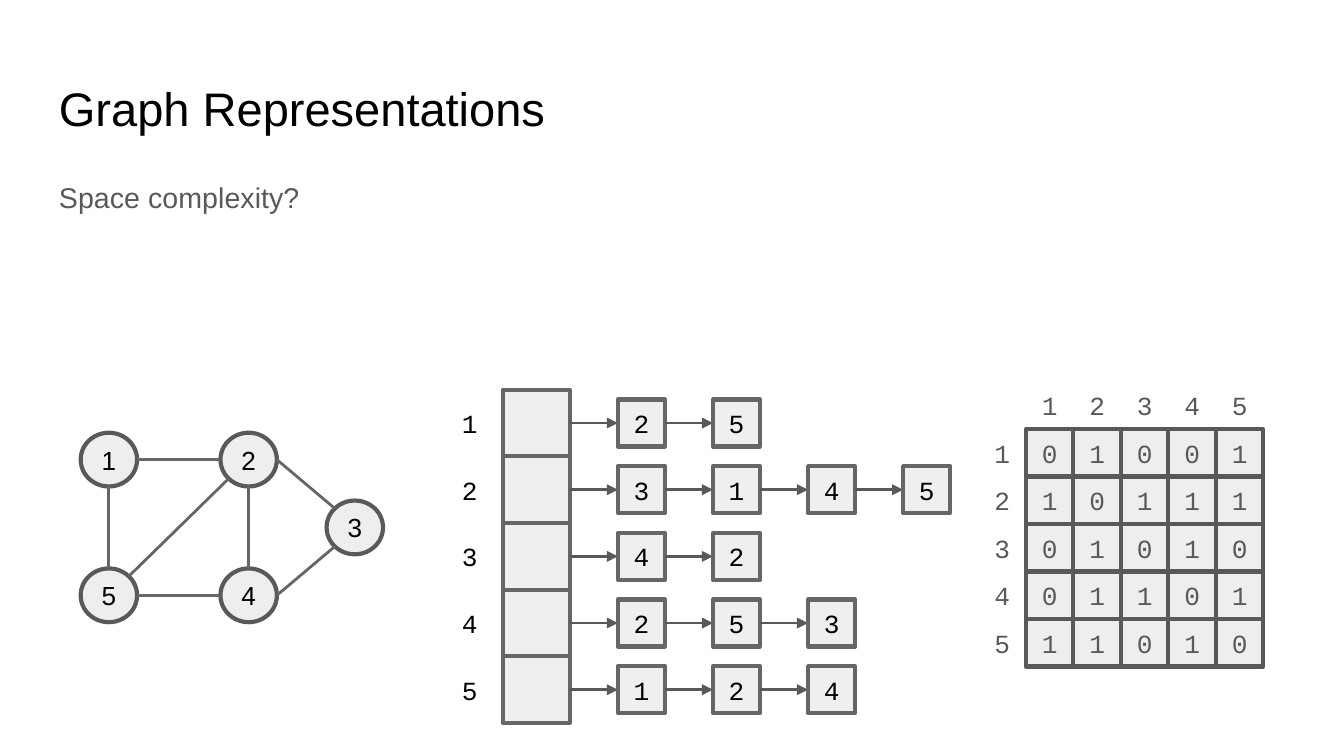
from dataclasses import dataclass
from math import cos, radians, sin

from lxml.etree import SubElement
from pptx import Presentation
from pptx.dml.color import RGBColor
from pptx.enum.shapes import MSO_CONNECTOR as CXN, MSO_SHAPE as SHAPE
from pptx.enum.text import MSO_ANCHOR as ANCHOR, PP_ALIGN as ALIGN
from pptx.oxml.ns import qn
from pptx.util import Inches, Pt


@dataclass(frozen=True)
class Theme:
    black: str = "000000"
    dark: str = "595959"
    gray: str = "666666"
    light: str = "EFEFEF"
    pale: str = "EEEEEE"
    sans: str = "Arial"
    mono: str = "Courier New"
    title: float = 25.2
    body: float = 15.3
    label: float = 14
    outline: float = 2.25
    link: float = 1.5


T = Theme()
ADJACENCY = {1: [2, 5], 2: [3, 1, 4, 5], 3: [4, 2], 4: [2, 5, 3], 5: [1, 2, 4]}
CENTERED = {"align": ALIGN.CENTER, "anchor": ANCHOR.MIDDLE, "inset": 0}
MONO = {"font": T.mono, "size": T.label, "color": T.black, **CENTERED}
MONO_DARK = {**MONO, "color": T.dark}
SANS = {**MONO, "font": T.sans}
TITLE = {"font": T.sans, "size": T.title, "color": T.black,
         "align": ALIGN.LEFT, "anchor": ANCHOR.TOP, "inset": 0.1}
BODY = {**TITLE, "size": T.body, "color": T.dark,
        "spacing": {"line_spacing": 0.95, "space_after": Pt(12)}}


def set_attrs(obj, values):
    for name, value in values.items():
        setattr(obj, name, value)


def write(sp, text, style):
    tf = sp.text_frame
    inset = Inches(style["inset"])
    set_attrs(tf, {"word_wrap": True, "vertical_anchor": style["anchor"],
                   "margin_left": inset, "margin_right": inset,
                   "margin_top": inset, "margin_bottom": inset})
    p = tf.paragraphs[0]
    set_attrs(p, {"alignment": style["align"], **style.get("spacing", {})})
    r = p.add_run()
    r.text = str(text)
    set_attrs(r.font, {"name": style["font"], "size": Pt(style["size"])})
    r.font.color.rgb = RGBColor.from_string(style["color"])


def add_text(slide, box, text, style):
    write(slide.shapes.add_textbox(*map(Inches, box)), text, style)


def add_node(slide, kind, box, fill, line, text=None, style=None):
    sp = slide.shapes.add_shape(kind, *map(Inches, box))
    sp.shadow.inherit = False
    sp.fill.solid()
    sp.fill.fore_color.rgb = RGBColor.from_string(fill)
    sp.line.color.rgb = RGBColor.from_string(line)
    sp.line.width = Pt(T.outline)
    if text is not None:
        write(sp, text, style)


def add_link(slide, start, end, color, arrow=False):
    cxn = slide.shapes.add_connector(CXN.STRAIGHT, *map(Inches, (*start, *end)))
    cxn.line.color.rgb = RGBColor.from_string(color)
    cxn.line.width = Pt(T.link)
    if arrow:
        SubElement(cxn.line._get_or_add_ln(), qn("a:tailEnd"), type="triangle")
    SubElement(cxn._element.spPr, qn("a:effectLst"))


def add_heading(slide, box):
    x, y, w, h = box
    add_text(slide, (x, y, w, 0.63), "Graph Representations", TITLE)
    add_text(slide, (x, y + 0.77, w, h - 0.77), "Space complexity?", BODY)


def add_graph(slide, box):
    x, y, w, h = box
    nw, nh = 0.42, 0.4
    right, bottom = x + w - nw, y + h - nh
    places = {1: (x, y), 2: (x + 1.04, y), 3: (right, (y + bottom) / 2),
              4: (x + 1.04, bottom), 5: (x, bottom)}

    def rim(node, angle):
        left, top = places[node]
        a = radians(angle)
        return left + nw / 2 * (1 + cos(a)), top + nh / 2 * (1 + sin(a))

    edges = [(1, 0, 2, 180), (1, 90, 5, 270), (2, 135, 5, 315), (4, 180, 5, 0),
             (2, 90, 4, 270), (3, 135, 4, 0), (2, 0, 3, 225)]
    for node, place in places.items():
        add_node(slide, SHAPE.OVAL, (*place, nw, nh), T.pale, T.dark, node, SANS)
    for a, a_angle, b, b_angle in edges:
        add_link(slide, rim(a, a_angle), rim(b, b_angle), T.gray)


def add_adjacency_list(slide, box):
    x, y, w, h = box
    row_h = h / len(ADJACENCY)
    label_w, slot_w, side = 0.49, 0.5, 0.35
    slot_x = x + label_w
    gap = (w - label_w - slot_w) / max(map(len, ADJACENCY.values())) - side
    for i, (node, neighbors) in enumerate(ADJACENCY.items()):
        top = y + i * row_h
        mid = top + row_h / 2
        add_node(slide, SHAPE.RECTANGLE, (slot_x, top, slot_w, row_h), T.light, T.gray)
        add_text(slide, (x, top, label_w, row_h), node, MONO)
        end = slot_x + slot_w
        for neighbor in neighbors:
            left = end + gap
            add_link(slide, (end, mid), (left, mid), T.dark, arrow=True)
            add_node(slide, SHAPE.RECTANGLE, (left, mid - side / 2, side, side),
                     T.light, T.gray, neighbor, MONO)
            end = left + side


def add_matrix(slide, box):
    x, y, w, h = box
    n = len(ADJACENCY) + 1
    cw, ch = w / n, h / n
    for row, neighbors in ADJACENCY.items():
        add_text(slide, (x, y + row * ch, cw, ch), row, MONO_DARK)
        add_text(slide, (x + row * cw, y, cw, ch), row, MONO_DARK)
        for col in ADJACENCY:
            add_node(slide, SHAPE.RECTANGLE, (x + col * cw, y + row * ch, cw, ch),
                     T.pale, T.dark, int(col in neighbors), MONO_DARK)


def main():
    prs = Presentation()
    width = Inches(10)
    set_attrs(prs, {"slide_width": width, "slide_height": width * 9 // 16})
    slide = prs.slides.add_slide(prs.slide_layouts[6])
    add_heading(slide, (0.34, 0.49, 9.32, 1.38))
    add_adjacency_list(slide, (3.25, 2.9, 3.82, 2.48))
    add_matrix(slide, (7.28, 2.84, 2.12, 2.12))
    add_graph(slide, (0.6, 3.22, 2.25, 1.41))
    prs.save("out.pptx")


if __name__ == "__main__":
    main()
